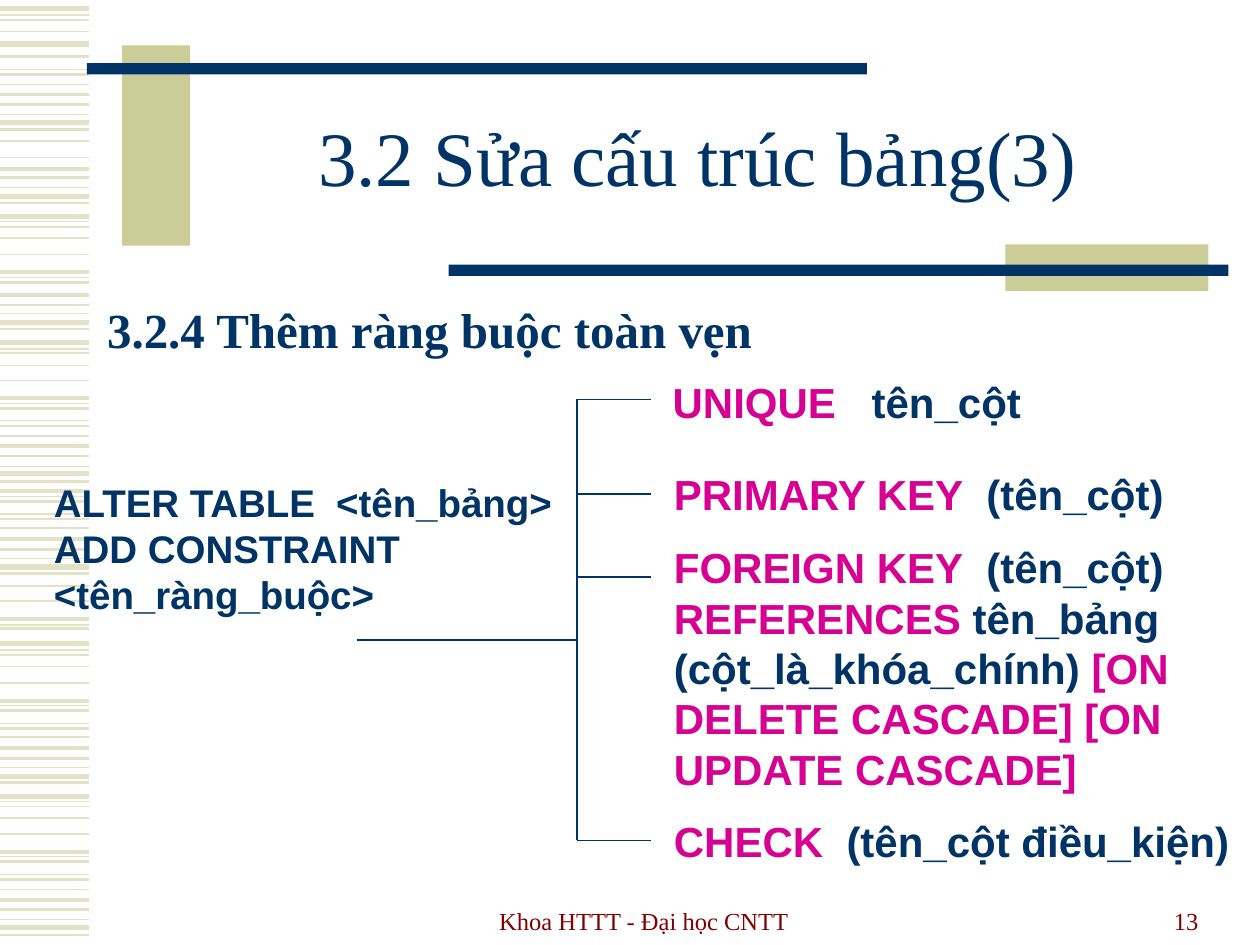
from lxml import etree
from pptx import Presentation
from pptx.dml.color import RGBColor
from pptx.enum.shapes import MSO_CONNECTOR, MSO_SHAPE
from pptx.enum.text import MSO_ANCHOR, MSO_AUTO_SIZE, PP_ALIGN
from pptx.oxml.ns import qn
from pptx.util import Inches, Pt

STRAIGHT, RECTANGLE = MSO_CONNECTOR.STRAIGHT, MSO_SHAPE.RECTANGLE
TOP, MIDDLE, BOTTOM = MSO_ANCHOR.TOP, MSO_ANCHOR.MIDDLE, MSO_ANCHOR.BOTTOM
LEFT, CENTER, RIGHT = PP_ALIGN.LEFT, PP_ALIGN.CENTER, PP_ALIGN.RIGHT

NAVY, KHAKI, PALE_KHAKI = "003366", "CCCC99", "E3E2C7"
MAGENTA, MAROON = "D60093", "800000"
SERIF, SANS = "Times New Roman", "Arial"

# Side stripes: line width in points -> heights on the slide
STRIPE_WIDTH = 0.71
STRIPES = {
    0.75: [0.12, 0.55, 0.91, 1.49, 1.76, 2.2, 2.49, 2.77, 3.2, 3.34, 3.7, 3.94, 4.08,
           4.43, 4.96, 5.16, 5.6, 5.74, 6.09, 6.36, 6.8, 6.94, 7.3],
    1: [0.16, 0.25, 0.67, 1.12, 1.25, 1.8, 1.89, 2.02, 2.8, 2.9, 3.02, 3.46, 4.19,
        4.65, 4.77, 5.2, 5.29, 5.42, 5.85, 6.4, 6.49, 6.62, 7.06],
    1.5: [0.45, 0.59, 0.83, 1.03, 1.41, 1.61, 2.24, 2.42, 2.61, 3.24, 3.38, 3.62, 3.82,
          3.98, 4.12, 4.36, 4.55, 4.99, 5.64, 5.78, 6.02, 6.21, 6.84, 6.98, 7.22, 7.42],
    2.25: [0.75, 1.34, 2.16, 2.34, 3.16, 3.54, 3.9, 4.28, 4.91, 5.56, 5.94, 6.76, 7.14],
    3: [0.07, 0.35, 0.97, 1.56, 1.72, 2.56, 2.72, 3.76, 4.5, 5.11, 6.16, 6.32, 7.36],
}
BARS = [
    ((0.97, 0.36, 0.54, 1.59), KHAKI),
    ((0.69, 0.5, 6.19, 0.09), NAVY),
    ((7.98, 1.94, 1.61, 0.37), KHAKI),
    ((3.56, 2.1, 6.19, 0.09), NAVY),
]

TITLE = "3.2 Sửa cấu trúc bảng(3)"
HEADING = "3.2.4 Thêm ràng buộc toàn vẹn"
STATEMENT = [
    [("ALTER TABLE\t<tên_bảng>", NAVY)],
    [("ADD CONSTRAINT <tên_ràng_buộc>", NAVY)],
]
# Constraint clauses: box, tab stop after the keyword, branch height, runs
CLAUSES = [
    ((5.24, 2.94, 3.34, 0.39), 1.58, 3.17,
     [("UNIQUE\t", MAGENTA), ("tên_cột", NAVY)]),
    ((5.25, 3.67, 4.24, 0.42), 2.48, 3.92,
     [("PRIMARY KEY\t", MAGENTA), ("(tên_cột)", NAVY)]),
    ((5.25, 4.25, 4.25, 1.3), 2.48, 4.58,
     [("FOREIGN KEY\t", MAGENTA), ("(tên_cột)", NAVY), (" REFERENCES ", MAGENTA),
      ("tên_bảng (cột_là_khóa_chính)", NAVY),
      (" [ON DELETE CASCADE] [ON UPDATE CASCADE]", MAGENTA)]),
    ((5.25, 6.42, 4.75, 0.45), 1.37, 6.67,
     [("CHECK\t", MAGENTA), ("(tên_cột điều_kiện)", NAVY)]),
]
STEM_START, TRUNK, BRANCH_END, STEM_HEIGHT = 2.83, 4.58, 5.17, 5.08
FOOTERS = [
    ((3.42, 6.97, 3.38, 0.5), "Khoa HTTT - Đại học CNTT", CENTER),
    ((7.21, 6.97, 2.4, 0.5), "13", RIGHT),
]


def rgb(color):
    return RGBColor.from_string(color)


def add_line(x1, y1, x2, y2, color, width):
    line = slide.shapes.add_connector(
        STRAIGHT, Inches(x1), Inches(y1), Inches(x2), Inches(y2))
    line.line.color.rgb = rgb(color)
    line.line.width = Pt(width)
    etree.SubElement(line._element.spPr, qn("a:effectLst"))


def add_bar(box, color):
    bar = slide.shapes.add_shape(RECTANGLE, *map(Inches, box))
    bar.shadow.inherit = False
    bar.fill.solid()
    bar.fill.fore_color.rgb = rgb(color)
    bar.line.fill.background()


def add_box(box):
    return slide.shapes.add_textbox(*map(Inches, box))


def place(shape, box):
    shape.left, shape.top, shape.width, shape.height = map(Inches, box)
    return shape


def write(shape, paragraphs, size, font=SANS, bold=True, align=LEFT,
          anchor=TOP, spacing=1.0, tab=None):
    """Fill a shape with paragraphs, each a list of (text, colour) runs."""
    frame = shape.text_frame
    frame_format = {"word_wrap": True, "auto_size": MSO_AUTO_SIZE.NONE,
                    "vertical_anchor": anchor}
    for name, value in frame_format.items():
        setattr(frame, name, value)
    for index, runs in enumerate(paragraphs):
        paragraph = frame.add_paragraph() if index else frame.paragraphs[0]
        properties = paragraph._p.get_or_add_pPr()
        etree.SubElement(properties, qn("a:buNone"))
        if tab:
            stops = etree.SubElement(properties, qn("a:tabLst"))
            etree.SubElement(stops, qn("a:tab"), pos=str(Inches(tab)), algn="l")
        paragraph.alignment = align
        paragraph.line_spacing = spacing
        paragraph.space_before = Pt(0)
        for text, color in runs:
            run = paragraph.add_run()
            run.text = text
            for name, value in {"name": font, "size": Pt(size), "bold": bold}.items():
                setattr(run.font, name, value)
            run.font.color.rgb = rgb(color)


presentation = Presentation()
presentation.slide_width, presentation.slide_height = Inches(10), Inches(7.5)
slide = presentation.slides.add_slide(presentation.slide_layouts[1])

for width, heights in STRIPES.items():
    for y in heights:
        add_line(0, y, STRIPE_WIDTH, y, PALE_KHAKI, width)
for box, color in BARS:
    add_bar(box, color)

write(place(slide.shapes.title, (1.5, 0.67, 8.07, 1.25)), [[(TITLE, NAVY)]], 44,
      SERIF, bold=False, align=CENTER, anchor=MIDDLE, spacing=0.85)
write(place(slide.placeholders[1], (0.75, 2.33, 7.67, 0.83)), [[(HEADING, NAVY)]], 28, SERIF)
write(add_box((0.33, 3.75, 4.25, 1.4)), STATEMENT, 22, tab=2.24)

for box, tab, y, runs in CLAUSES:
    write(add_box(box), [runs], 24, tab=tab)
    add_line(TRUNK, y, BRANCH_END, y, NAVY, 0.75)
branch_heights = [y for _, _, y, _ in CLAUSES]
add_line(TRUNK, min(branch_heights), TRUNK, max(branch_heights), NAVY, 0.75)
add_line(STEM_START, STEM_HEIGHT, TRUNK, STEM_HEIGHT, NAVY, 0.75)

for box, text, align in FOOTERS:
    write(add_box(box), [[(text, MAROON)]], 14, SERIF, bold=False, align=align, anchor=BOTTOM)

presentation.save("out.pptx")
